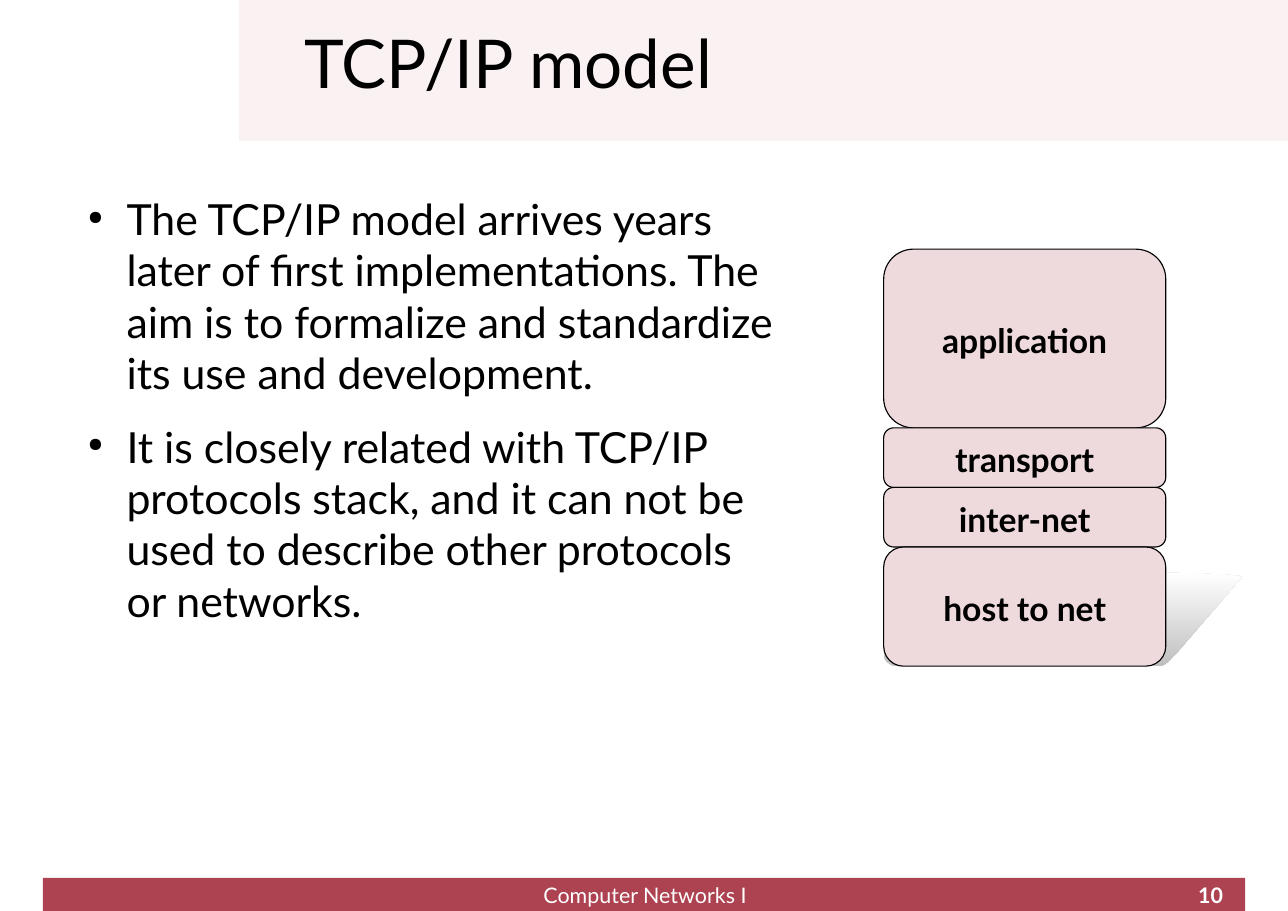
from lxml import etree
from pptx import Presentation
from pptx.dml.color import RGBColor
from pptx.enum.shapes import MSO_SHAPE as Shape
from pptx.enum.text import MSO_ANCHOR as Anchor, PP_ALIGN as Align
from pptx.oxml.ns import qn
from pptx.util import Inches, Pt

FONT = "Lato"
BLACK, WHITE = "000000", "FFFFFF"
BANNER, FOOTER, LAYER = "F9F1F2", "AD4251", "EED9DC"
SHADE = "C0C0C0"

BULLETS = [
    "The TCP/IP model arrives years later of first implementations. "
    "The aim is to formalize and standardize its use and development.",
    "It is closely related with TCP/IP protocols stack, and it can not be "
    "used to describe other protocols or networks.",
]

# Layer name and its height in stack rows, from top to bottom
LAYERS = [("application", 3), ("transport", 1), ("inter-net", 1), ("host to net", 2)]
STACK_LEFT, STACK_TOP, STACK_WIDTH, STACK_ROW = 68.61, 27.35, 21.9, 6.54

# Cast shadow: start point, then lines (one point) and curves (three points)
SHADOW_START = (69.63, 73.16)
SHADOW_STEPS = [
    [(69.12, 73.16), (68.61, 72.55), (68.61, 71.83)],
    [(73.99, 63.36)],
    [(73.99, 62.64), (96.41, 62.64), (96.41, 63.36)],
    [(91.36, 71.7)],
    [(90.93, 72.19), (90.59, 73.16), (89.99, 73.16)],
]


def color(text):
    return RGBColor.from_string(text)


def curve_points(start, first, second, end, count=16):
    """Points along a cubic curve, without its start."""
    for step in range(1, count + 1):
        t = step / count
        weights = ((1 - t) ** 3, 3 * t * (1 - t) ** 2, 3 * t * t * (1 - t), t ** 3)
        yield tuple(
            sum(w * p[axis] for w, p in zip(weights, (start, first, second, end)))
            for axis in (0, 1)
        )


class SlideMaker:
    """Places styled elements; lengths are percent of the slide's size."""

    def __init__(self, deck):
        self.deck = deck
        self.page = deck.slides.add_slide(deck.slide_layouts[6])

    def point(self, x, y):
        return round(self.deck.slide_width * x / 100), round(self.deck.slide_height * y / 100)

    def area(self, left, top, width, height):
        return *self.point(left, top), *self.point(width, height)

    def style(self, para, size, ink, bold=False):
        font = para.font
        font.name, font.size, font.bold = FONT, Pt(size), bold
        font.color.rgb = color(ink)

    def block(self, kind, area, fill, outline=None):
        shape = self.page.shapes.add_shape(kind, *self.area(*area))
        shape.shadow.inherit = False
        shape.fill.solid()
        shape.fill.fore_color.rgb = color(fill)
        if outline:
            shape.line.color.rgb = color(outline)
            shape.line.width = Pt(0)
        else:
            shape.line.fill.background()
        return shape

    def set_text(self, shape, text, size, ink, bold=False, align=Align.LEFT,
                 anchor=Anchor.TOP, spacing=None):
        frame = shape.text_frame
        frame.word_wrap = True
        frame.vertical_anchor = anchor
        frame.margin_left = frame.margin_right = frame.margin_top = frame.margin_bottom = 0
        para = frame.paragraphs[0]
        para.text, para.alignment = text, align
        if spacing:
            para.line_spacing = spacing
        self.style(para, size, ink, bold)

    def label(self, area, text, size, ink, **options):
        box = self.page.shapes.add_textbox(*self.area(*area))
        self.set_text(box, text, size, ink, **options)

    def layer(self, area, name):
        shape = self.block(Shape.ROUNDED_RECTANGLE, area, LAYER, BLACK)
        self.set_text(shape, name, 22, BLACK, bold=True, align=Align.CENTER,
                      anchor=Anchor.MIDDLE, spacing=1.08)

    def bullets(self, area, items, size, ink):
        frame = self.page.shapes.add_textbox(*self.area(*area)).text_frame
        frame.word_wrap = True
        for index, item in enumerate(items):
            para = frame.add_paragraph() if index else frame.paragraphs[0]
            para.text = item
            para.space_after = Pt(14.2)
            props = para._p.get_or_add_pPr()
            props.set("marL", str(Inches(0.47)))
            props.set("indent", str(Inches(-0.35)))
            tint = etree.SubElement(props, qn("a:buClr"))
            etree.SubElement(tint, qn("a:srgbClr"), val=ink)
            etree.SubElement(props, qn("a:buSzPct"), val="45000")
            etree.SubElement(props, qn("a:buChar"), char="●")
            self.style(para, size, ink)

    def cast_shadow(self, start, steps):
        outline = [start]
        for step in steps:
            outline += step if len(step) == 1 else curve_points(outline[-1], *step)
        builder = self.page.shapes.build_freeform(*self.point(*start))
        builder.add_line_segments([self.point(*spot) for spot in outline[1:]], close=True)
        shape = builder.convert_to_shape()
        shape.shadow.inherit = False
        shape.line.fill.background()
        shape.fill.gradient()
        shape.fill.gradient_angle = 90
        for stop, tint, position in zip(shape.fill.gradient_stops, (SHADE, WHITE), (0, 1)):
            stop.color.rgb = color(tint)
            stop.position = position


def main():
    deck = Presentation()
    deck.slide_width, deck.slide_height = Inches(11.69), Inches(8.27)
    maker = SlideMaker(deck)

    # Banner and footer bar
    maker.block(Shape.RECTANGLE, (18.56, 0, 81.44, 15.48), BANNER)
    maker.block(Shape.RECTANGLE, (3.34, 96.37, 93.33, 3.63), FOOTER)

    # Title and body
    maker.label((23.61, -0.73, 71.43, 16.69), "TCP/IP model", 44, BLACK,
                anchor=Anchor.MIDDLE, spacing=0.8)
    maker.bullets((4.96, 20.56, 56.03, 66.02), BULLETS, 28, BLACK)

    # Protocol stack
    maker.cast_shadow(SHADOW_START, SHADOW_STEPS)
    top = STACK_TOP
    for name, rows in LAYERS:
        height = rows * STACK_ROW
        maker.layer((STACK_LEFT, top, STACK_WIDTH, height), name)
        top += height

    # Footer text
    maker.label((34.22, 96.86, 31.74, 2.78), "Computer Networks I", 14, WHITE,
                align=Align.CENTER)
    maker.label((71.69, 96.86, 23.27, 2.78), "10", 14, WHITE, bold=True, align=Align.RIGHT)

    deck.save("out.pptx")


if __name__ == "__main__":
    main()
